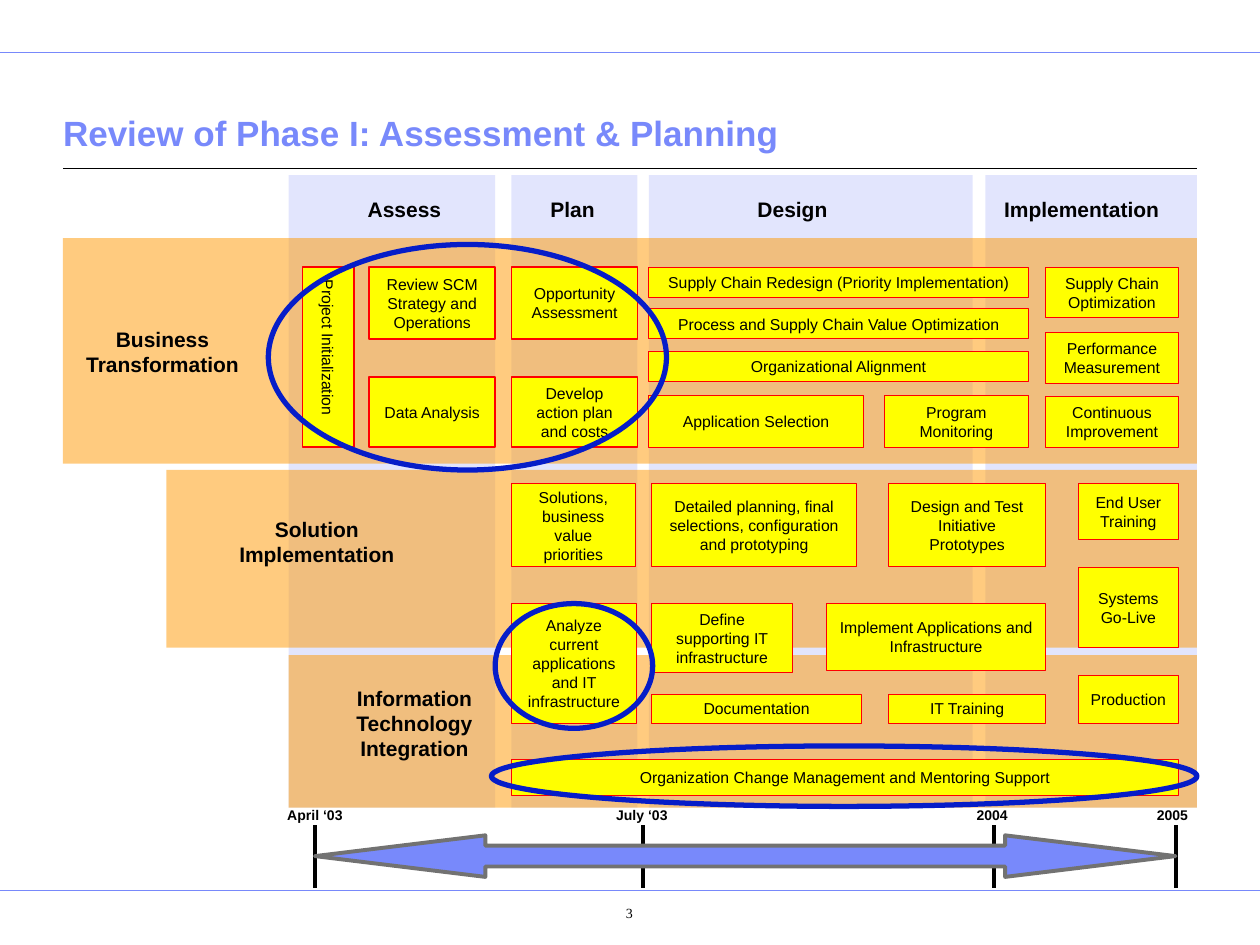
from lxml import etree
from pptx import Presentation
from pptx.dml.color import RGBColor
from pptx.enum.shapes import MSO_CONNECTOR, MSO_SHAPE
from pptx.enum.text import MSO_ANCHOR, MSO_AUTO_SIZE, PP_ALIGN
from pptx.oxml.ns import qn
from pptx.util import Inches, Pt

RECTANGLE, ELLIPSE, ARROW = MSO_SHAPE.RECTANGLE, MSO_SHAPE.OVAL, MSO_SHAPE.LEFT_RIGHT_ARROW
STRAIGHT = MSO_CONNECTOR.STRAIGHT
TOP, MIDDLE, BOTTOM = MSO_ANCHOR.TOP, MSO_ANCHOR.MIDDLE, MSO_ANCHOR.BOTTOM
LEFT, CENTER = PP_ALIGN.LEFT, PP_ALIGN.CENTER
NO_AUTOFIT = MSO_AUTO_SIZE.NONE

THEME = {
    "colors": {
        "accent": "7889FB", "phase": "C7CDFD", "stream": "FF9900", "box": "FFFF00",
        "border": "FF0000", "ring": "061DC8", "arrow_line": "727272", "text": "000000",
    },
    "title": {"name": "Arial", "size": Pt(20), "bold": True},
    "heading": {"name": "Arial", "size": Pt(12), "bold": True},
    "box": {"name": "Arial", "size": Pt(9), "bold": False},
    "date": {"name": "Arial", "size": Pt(8), "bold": True},
    "number": {"name": "Times New Roman", "size": Pt(8), "bold": False},
}

TITLE = "Review of Phase I: Assessment & Planning"
PAGE_NUMBER = "3"
RIGHT_EDGE = 9.5
PHASE_TOP, PHASE_BOTTOM = 1.39, 6.41
PHASES = [(2.29, 1.64), (4.06, 1), (5.15, 2.57), (7.82, 1.68)]
STREAMS = [(0.5, 1.89, 1.79), (1.32, 3.73, 1.41), (2.29, 5.2, 1.21)]
HEADINGS = [
    (0.68, 2.59, 1.22, ["Business", "Transformation"]),
    (1.9, 4.1, 1.23, ["Solution", "Implementation"]),
    (2.82, 5.44, 0.94, ["Information", "Technology", "Integration"]),
    (2.92, 1.56, 0.58, ["Assess"]),
    (4.37, 1.56, 0.35, ["Plan"]),
    (6.01, 1.56, 0.56, ["Design"]),
    (7.97, 1.56, 1.23, ["Implementation"]),
]
ASSESSMENT_ROWS = [
    (2.12, 0.57, [(2.93, 1, "Review SCM Strategy and Operations"),
                  (4.06, 1, "Opportunity Assessment")]),
    (2.99, 0.56, [(2.93, 1, "Data Analysis"),
                  (4.06, 1, "Develop action plan and costs")]),
]
ACTIVITY_ROWS = [
    (2.12, 0.24, [(5.15, 3.01, "Supply Chain Redesign (Priority Implementation)")]),
    (2.45, 0.24, [(5.15, 3.01, "Process and Supply Chain Value Optimization")]),
    (2.79, 0.24, [(5.15, 3.01, "Organizational Alignment")]),
    (3.14, 0.41, [(5.15, 1.7, "Application Selection"),
                  (7.02, 1.14, "Program Monitoring")]),
    (2.12, 0.4, [(8.3, 1.05, "Supply Chain Optimization")]),
    (2.64, 0.4, [(8.3, 1.05, "Performance Measurement")]),
    (3.15, 0.4, [(8.3, 1.05, "Continuous Improvement")]),
    (3.84, 0.66, [(4.06, 0.98, "Solutions, business value priorities"),
                  (5.17, 1.63, "Detailed planning, final selections, configuration and prototyping"),
                  (7.05, 1.25, "Design and Test Initiative Prototypes")]),
    (3.84, 0.44, [(8.56, 0.79, "End User Training")]),
    (4.5, 0.64, [(8.56, 0.79, "Systems\nGo-Live")]),
    (4.79, 0.95, [(4.06, 0.99, "Analyze current applications and IT infrastructure")]),
    (4.79, 0.55, [(5.17, 1.12, "Define supporting IT infrastructure")]),
    (4.79, 0.53, [(6.56, 1.74, "Implement Applications and Infrastructure")]),
    (5.51, 0.23, [(5.17, 1.67, "Documentation"), (7.05, 1.25, "IT Training")]),
    (6.03, 0.28, [(4.06, 5.29, "Organization Change Management and Mentoring Support")]),
]
RINGS = [(2.13, 1.94, 3.16, 1.79), (3.93, 4.79, 1.25, 0.99), (3.9, 5.92, 5.6, 0.48)]
TIMELINE = [
    (2.5, 2.06, 0.88, "April ‘03"),
    (5.1, 4.73, 0.73, "July ‘03"),
    (7.89, 7.51, 0.73, "2004"),
    (9.33, 8.94, 0.73, "2005"),
]
RULES = [(0, 10, 0.42, "accent", 0.5), (0, 10, 7.07, "accent", 0.5),
         (0.5, RIGHT_EDGE, 1.34, "text", 0.75)]


def rgb(name):
    return RGBColor.from_string(THEME["colors"][name])


def write_text(shape, paragraphs, style, color="text", insets=(0.1, 0.05, 0.1, 0.05),
               anchor=TOP, align=CENTER, wrap=True):
    frame = shape.text_frame
    left, top, right, bottom = map(Inches, insets)
    frame_format = {
        "auto_size": NO_AUTOFIT, "word_wrap": wrap, "vertical_anchor": anchor,
        "margin_left": left, "margin_top": top, "margin_right": right, "margin_bottom": bottom,
    }
    for name, value in frame_format.items():
        setattr(frame, name, value)
    for index, text in enumerate(paragraphs):
        paragraph = frame.add_paragraph() if index else frame.paragraphs[0]
        paragraph.text = text
        paragraph.alignment = align
        for name, value in THEME[style].items():
            setattr(paragraph.font, name, value)
        paragraph.font.color.rgb = rgb(color)


def add_label(slide, position, paragraphs, style, **options):
    write_text(slide.shapes.add_textbox(*map(Inches, position)), paragraphs, style, **options)


def add_figure(slide, kind, position, fill=None, line=None, width=0, opacity=None):
    shape = slide.shapes.add_shape(kind, *map(Inches, position))
    shape.shadow.inherit = False
    if fill:
        shape.fill.solid()
        shape.fill.fore_color.rgb = rgb(fill)
    else:
        shape.fill.background()
    if opacity:
        color = shape.fill._xPr.find(qn("a:solidFill"))[0]
        etree.SubElement(color, qn("a:alpha")).set("val", str(opacity * 1000))
    if line:
        shape.line.color.rgb = rgb(line)
        shape.line.width = Pt(width)
    else:
        shape.line.fill.background()
    return shape


def add_line(slide, points, color, width):
    connector = slide.shapes.add_connector(STRAIGHT, *map(Inches, points))
    connector.line.color.rgb = rgb(color)
    connector.line.width = Pt(width)
    etree.SubElement(connector._element.spPr, qn("a:effectLst"))


def add_box(slide, position, text, width, **options):
    box = add_figure(slide, RECTANGLE, position, "box", "border", width)
    write_text(box, [text], "box", anchor=MIDDLE, **options)
    return box


def add_rows(slide, rows, line_width):
    for top, height, boxes in rows:
        for left, width, text in boxes:
            add_box(slide, (left, top, width, height), text, line_width)


def main():
    presentation = Presentation()
    presentation.slide_width, presentation.slide_height = Inches(10), Inches(7.5)
    slide = presentation.slides.add_slide(presentation.slide_layouts[5])

    for start, end, top, color, width in RULES:
        add_line(slide, (start, top, end, top), color, width)

    title = slide.shapes.title
    title.left, title.top, title.width, title.height = map(Inches, (0.5, 0.64, 9, 0.63))
    write_text(title, [TITLE], "title", "accent", (0, 0.05, 0, 0.05), BOTTOM, LEFT)

    for left, width in PHASES:
        position = (left, PHASE_TOP, width, PHASE_BOTTOM - PHASE_TOP)
        add_figure(slide, RECTANGLE, position, "phase", opacity=50)
    for left, top, height in STREAMS:
        position = (left, top, RIGHT_EDGE - left, height)
        add_figure(slide, RECTANGLE, position, "stream", opacity=50)
    for left, top, width, lines in HEADINGS:
        add_label(slide, (left, top, width, 0.2 * len(lines)), lines, "heading",
                  insets=(0, 0, 0, 0), wrap=False)

    add_rows(slide, ACTIVITY_ROWS, 0.5)
    add_box(slide, (8.56, 5.36, 0.79, 0.38), "Production", 0.5, insets=(0, 0.05, 0, 0.05))
    initialization = add_box(slide, (2.4, 2.12, 0.41, 1.43), "Project Initialization", 1,
                             insets=(0.05, 0.1, 0.05, 0.1))
    initialization.text_frame._txBody.bodyPr.set("vert", "eaVert")
    add_rows(slide, ASSESSMENT_ROWS, 1)

    for tick, left, width, date in TIMELINE:
        add_line(slide, (tick, 6.55, tick, 7.05), "text", 2.25)
        add_label(slide, (left, 6.35, width, 0.24), [date], "date")
    start, end = TIMELINE[0][0], TIMELINE[-1][0]
    arrow = add_figure(slide, ARROW, (start, 6.63, end - start, 0.33),
                       "accent", "arrow_line", 2.25)
    arrow.adjustments[0], arrow.adjustments[1] = 0.5, 4.1

    for position in RINGS:
        add_figure(slide, ELLIPSE, position, line="ring", width=3)
    add_label(slide, (4.27, 7.11, 1.15, 0.35), [PAGE_NUMBER], "number",
              insets=(0.4, 0.07, 0.1, 0.05))

    presentation.save("out.pptx")


if __name__ == "__main__":
    main()
